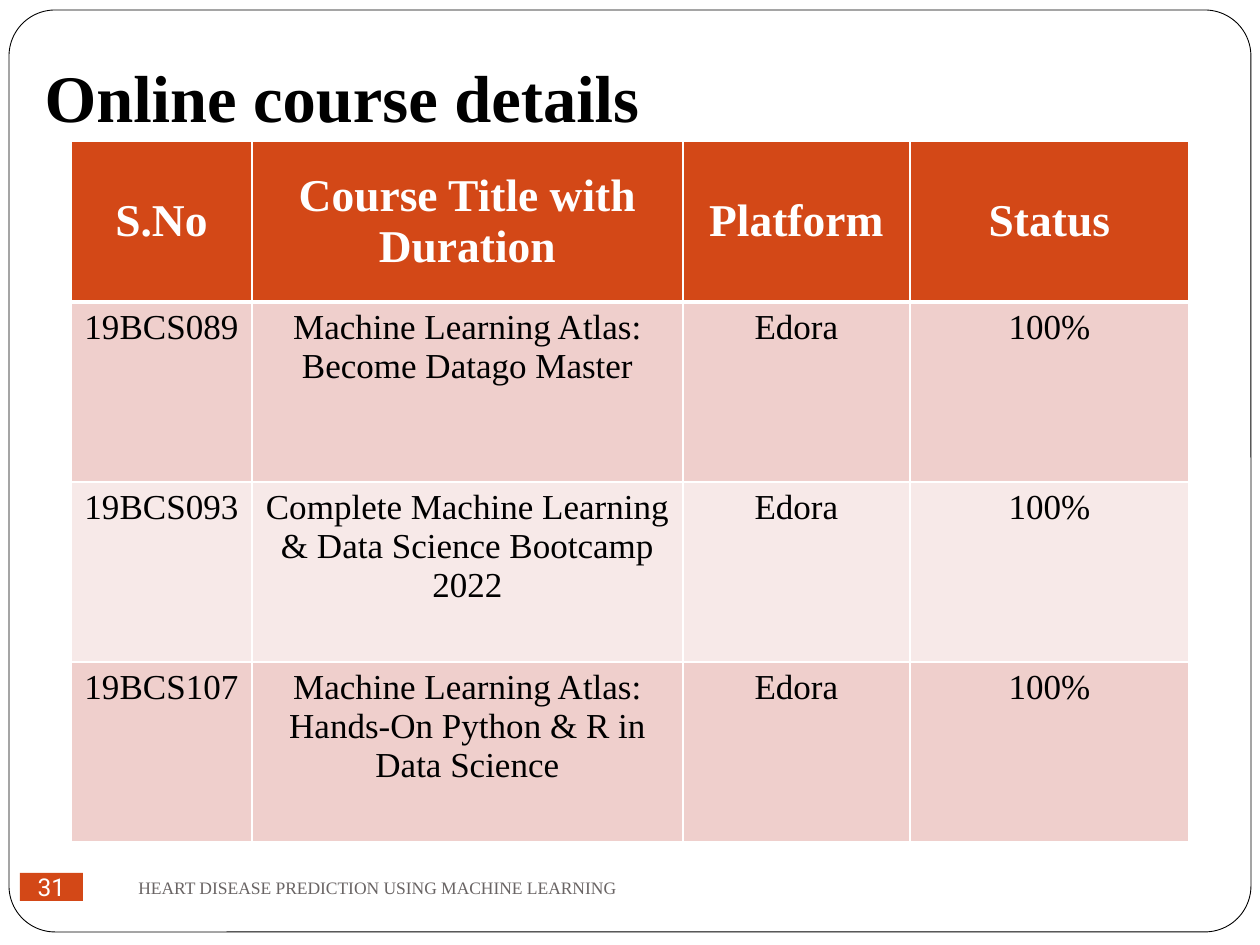
from lxml.etree import SubElement
from pptx import Presentation
from pptx.dml.color import RGBColor
from pptx.enum.shapes import MSO_SHAPE as Shape
from pptx.enum.text import MSO_ANCHOR as Anchor, PP_ALIGN as Align
from pptx.oxml.ns import qn
from pptx.util import Emu, Pt

SCALE = 914400 / 126
ORANGE = RGBColor(0xD3, 0x48, 0x17)
ROSE = RGBColor(0xEF, 0xCF, 0xCC)
BLUSH = RGBColor(0xF7, 0xE9, 0xE8)
GREY = RGBColor(0x69, 0x64, 0x64)
BLACK = RGBColor(0, 0, 0)
WHITE = RGBColor(255, 255, 255)
SERIF = "Times New Roman"


def px(*lengths):
    return [Emu(round(length * SCALE)) for length in lengths]


def write(frame, text, size, color, font=SERIF, bold=False, align=Align.LEFT, **frame_format):
    for name, value in frame_format.items():
        setattr(frame, name, value)
    frame.text = text
    for para in frame.paragraphs:
        para.alignment = align
        for span in para.runs:
            for name, value in {"size": Pt(size), "name": font, "bold": bold}.items():
                setattr(span.font, name, value)
            span.font.color.rgb = color


deck = Presentation()
deck.slide_width, deck.slide_height = px(1260, 945)
page = deck.slides.add_slide(deck.slide_layouts[5])
title = page.shapes.title

border = page.shapes.add_shape(Shape.ROUNDED_RECTANGLE, *px(9, 10, 1242, 922))
border.adjustments[0] = 0.05
border.shadow.inherit = False
border.fill.solid()
border.fill.fore_color.rgb = WHITE
border.line.color.rgb = BLACK
border.line.width = Pt(0.5)
title.element.addprevious(border.element)

title.left, title.top, title.width, title.height = px(32, 32, 1071, 116)
write(title.text_frame, "Online course details", 38, BLACK, bold=True,
      vertical_anchor=Anchor.BOTTOM, margin_bottom=Pt(7.2))

badge = page.shapes.add_shape(Shape.RECTANGLE, *px(20, 873, 63, 28))
badge.shadow.inherit = False
badge.fill.solid()
badge.fill.fore_color.rgb = ORANGE
badge.line.fill.background()
write(badge.text_frame, "31", 14, WHITE, font="Roboto", align=Align.CENTER,
      vertical_anchor=Anchor.MIDDLE, word_wrap=False,
      margin_left=0, margin_top=0, margin_right=0, margin_bottom=0)

courses = [
    ["S.No", "Course Title with Duration", "Platform", "Status"],
    ["19BCS089", "Machine Learning Atlas:\nBecome Datago Master", "Edora", "100%"],
    ["19BCS093", "Complete Machine Learning & Data Science Bootcamp 2022", "Edora", "100%"],
    ["19BCS107", "Machine Learning Atlas: Hands-On Python & R in Data Science", "Edora", "100%"],
]
column_widths = px(181, 431, 227, 279)
row_heights = px(161, 180, 180, 180)
table = page.shapes.add_table(
    len(row_heights), len(column_widths), *px(71, 141),
    sum(column_widths), sum(row_heights)).table
for column, width in zip(table.columns, column_widths):
    column.width = width
for row_index, (row, height) in enumerate(zip(table.rows, row_heights)):
    row.height = height
    header = row_index == 0
    edges = {"L": 1, "R": 1, "T": 3 if row_index == 1 else 1, "B": 3 if header else 1}
    fill = ORANGE if header else (BLUSH, ROSE)[row_index % 2]
    for cell, text in zip(row.cells, courses[row_index]):
        write(cell.text_frame, text, 26 if header else 20, WHITE if header else BLACK,
              bold=header, align=Align.CENTER)
        cell.vertical_anchor = Anchor.MIDDLE if header else Anchor.TOP
        properties = cell._tc.get_or_add_tcPr()
        for side, points in edges.items():
            edge = SubElement(properties, qn(f"a:ln{side}"), w=str(Pt(points)))
            paint = SubElement(edge, qn("a:solidFill"))
            SubElement(paint, qn("a:srgbClr"), val=str(WHITE))
        cell.fill.solid()
        cell.fill.fore_color.rgb = fill

footer = page.shapes.add_textbox(*px(126, 856, 1050, 63))
write(footer.text_frame, "HEART DISEASE PREDICTION USING MACHINE LEARNING", 10, GREY,
      vertical_anchor=Anchor.MIDDLE, word_wrap=True)

deck.save("out.pptx")
